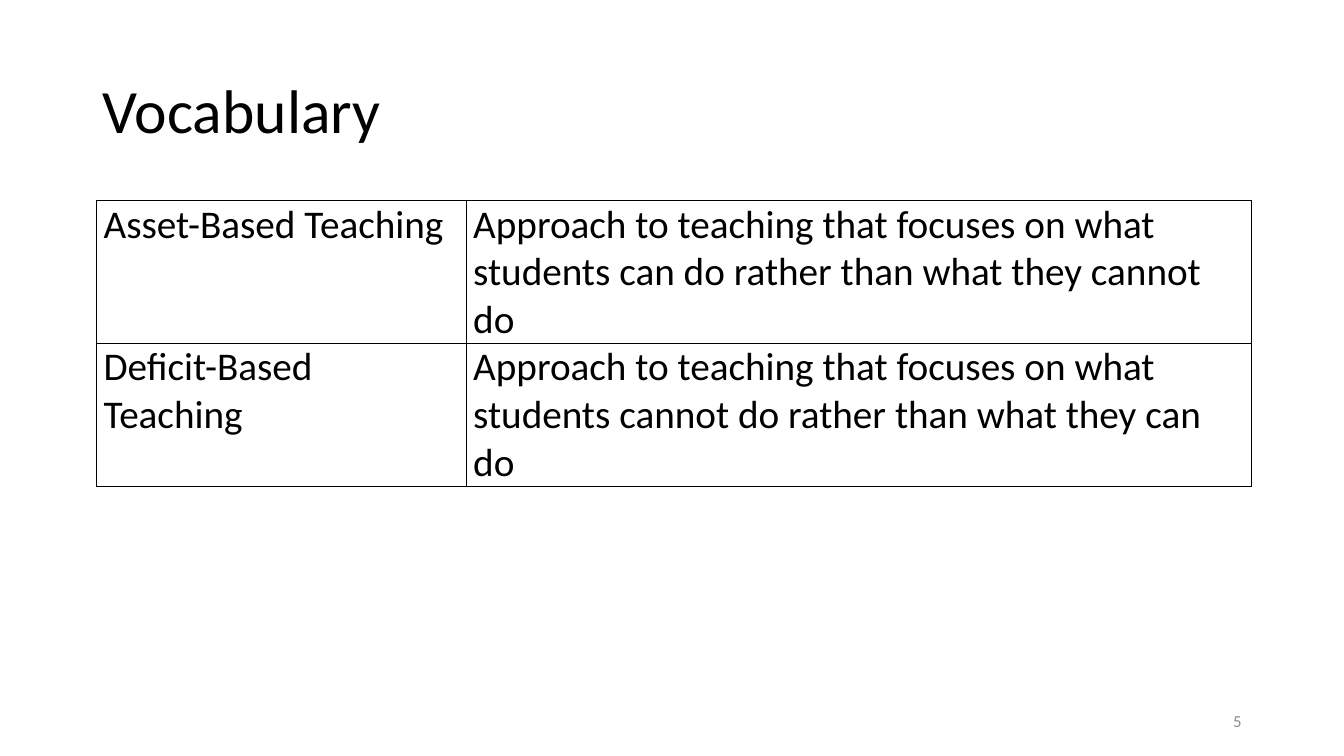
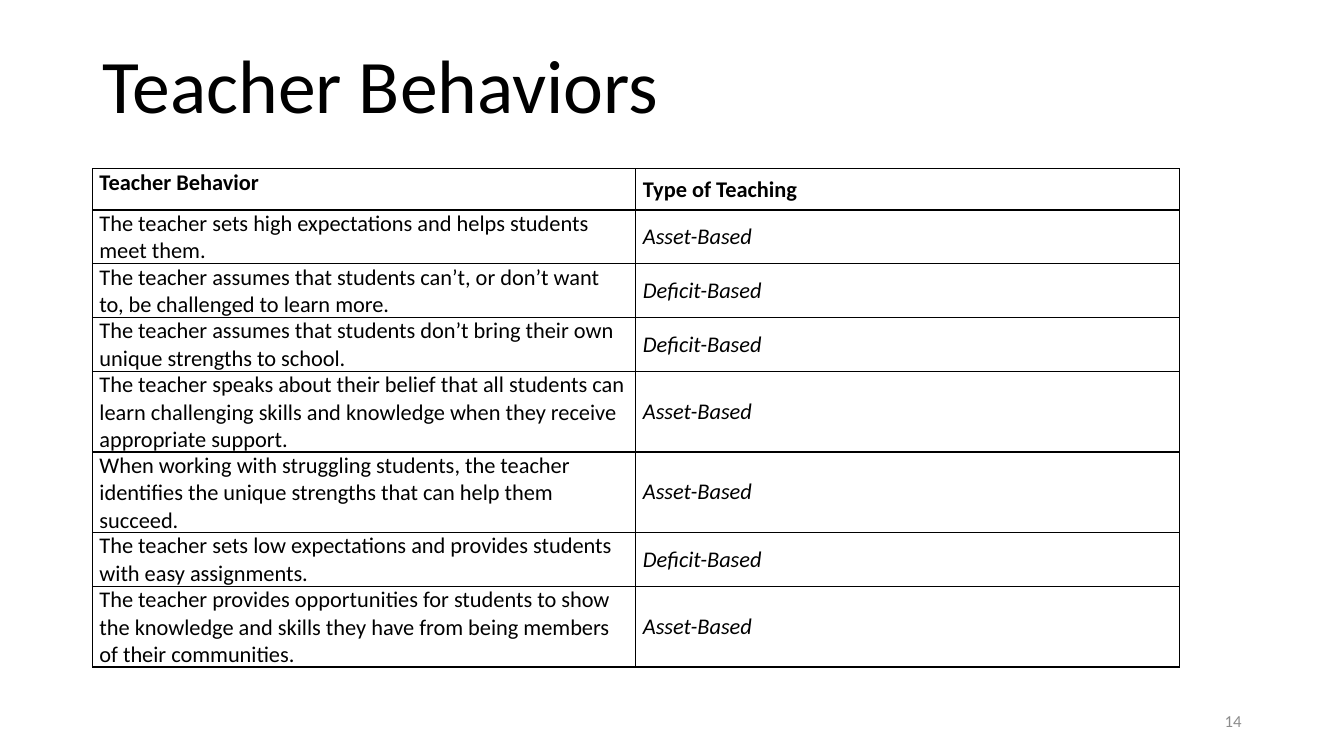
from lxml.etree import Element, SubElement
from pptx import Presentation
from pptx.dml.color import RGBColor
from pptx.enum.text import MSO_ANCHOR, MSO_AUTO_SIZE, PP_ALIGN
from pptx.oxml.ns import qn
from pptx.util import Inches, Pt

COLORS = {"text": "000000", "border": "000000", "number": "8C8C8C"}
FONT = "Calibri"
COLUMNS, ROWS = 160, 90
LEFT = 11

VOCABULARY = [
    ("Asset-Based Teaching",
     "Approach to teaching that focuses on what students can do rather than what they cannot do"),
    ("Deficit-Based Teaching",
     "Approach to teaching that focuses on what students cannot do rather than what they can do"),
]
ASSET, DEFICIT = "Asset-Based", "Deficit-Based"
BEHAVIORS = [
    ("Teacher Behavior", "Type of Teaching"),
    ("The teacher sets high expectations and helps students meet them.", ASSET),
    ("The teacher assumes that students can’t, or don’t want to, be challenged to learn more.", DEFICIT),
    ("The teacher assumes that students don’t bring their own unique strengths to school.", DEFICIT),
    ("The teacher speaks about their belief that all students can learn challenging skills "
     "and knowledge when they receive appropriate support.", ASSET),
    ("When working with struggling students, the teacher identifies the unique strengths "
     "that can help them succeed.", ASSET),
    ("The teacher sets low expectations and provides students with easy assignments.", DEFICIT),
    ("The teacher provides opportunities for students to show the knowledge and skills "
     "they have from being members of their communities.", ASSET),
]


class Deck:
    """Holds the shared style and the slide being built on a fine grid."""

    def __init__(self):
        self.prs = Presentation()
        self.prs.slide_width, self.prs.slide_height = Inches(13.33), Inches(7.5)
        self.slide = None

    def x(self, columns):
        return round(self.prs.slide_width * columns / COLUMNS)

    def y(self, rows):
        return round(self.prs.slide_height * rows / ROWS)

    def box(self, left, top, width, height):
        return self.x(left), self.y(top), self.x(width), self.y(height)

    def add_text(self, paragraph, text, size, color="text", bold=False, italic=False):
        run = paragraph.add_run()
        run.text = text
        font = run.font
        font.name, font.size, font.bold, font.italic = FONT, Pt(size), bold, italic
        font.color.rgb = RGBColor.from_string(COLORS[color])

    def start(self, title, number, top, height, size, anchor):
        self.slide = self.prs.slides.add_slide(self.prs.slide_layouts[5])
        heading = self.slide.shapes.title
        heading.left, heading.top, heading.width, heading.height = self.box(LEFT, top, 138, height)
        frame = heading.text_frame
        frame.auto_size, frame.vertical_anchor = MSO_AUTO_SIZE.NONE, anchor
        paragraph = frame.paragraphs[0]
        paragraph.alignment, paragraph.line_spacing = PP_ALIGN.LEFT, 0.9
        self.add_text(paragraph, title, size)
        self.page_number(number)

    def page_number(self, number):
        frame = self.slide.shapes.add_textbox(*self.box(113, 83.4, 36, 4.8)).text_frame
        frame.word_wrap, frame.vertical_anchor = True, MSO_ANCHOR.MIDDLE
        frame.paragraphs[0].alignment = PP_ALIGN.RIGHT
        self.add_text(frame.paragraphs[0], str(number), 12, "number")

    def border(self, cell):
        properties = cell._tc.get_or_add_tcPr()
        for position, side in enumerate(("lnL", "lnR", "lnT", "lnB")):
            line = Element(qn(f"a:{side}"), w=str(Pt(1)))
            fill = SubElement(line, qn("a:solidFill"))
            SubElement(fill, qn("a:srgbClr"), val=COLORS["border"])
            properties.insert(position, line)

    def table(self, entries, left, top, widths, row_height, size, header=False,
              second_anchor=MSO_ANCHOR.TOP, second_italic=False, space_after=0):
        place = self.box(left, top, sum(widths), row_height * len(entries))
        table = self.slide.shapes.add_table(len(entries), len(widths), *place).table
        table.first_row = table.horz_banding = False
        for column, width in zip(table.columns, widths):
            column.width = self.x(width)
        for r, entry in enumerate(entries):
            table.rows[r].height = self.y(row_height)
            is_header = header and r == 0
            for c, text in enumerate(entry):
                cell = table.cell(r, c)
                cell.margin_left = cell.margin_right = Inches(0.07)
                cell.margin_top = cell.margin_bottom = 0
                cell.vertical_anchor = second_anchor if c else MSO_ANCHOR.TOP
                cell.fill.background()
                self.border(cell)
                paragraph = cell.text_frame.paragraphs[0]
                paragraph.space_after = Pt(space_after)
                self.add_text(paragraph, text, size, bold=is_header,
                              italic=second_italic and c == 1 and not is_header)


def main():
    deck = Deck()
    deck.start("Vocabulary", 5, top=4.8, height=17.4, size=44, anchor=MSO_ANCHOR.MIDDLE)
    deck.table(VOCABULARY, left=11.5, top=23.9, widths=(44, 93.5), row_height=17,
               size=28, space_after=6)
    deck.start("Teacher Behaviors", 14, top=3.84, height=12.24, size=54, anchor=MSO_ANCHOR.BOTTOM)
    deck.table(BEHAVIORS, left=LEFT, top=20.1, widths=(64.7, 64.7), row_height=4.9, size=16,
               header=True, second_anchor=MSO_ANCHOR.MIDDLE, second_italic=True)
    deck.prs.save("out.pptx")


if __name__ == "__main__":
    main()
